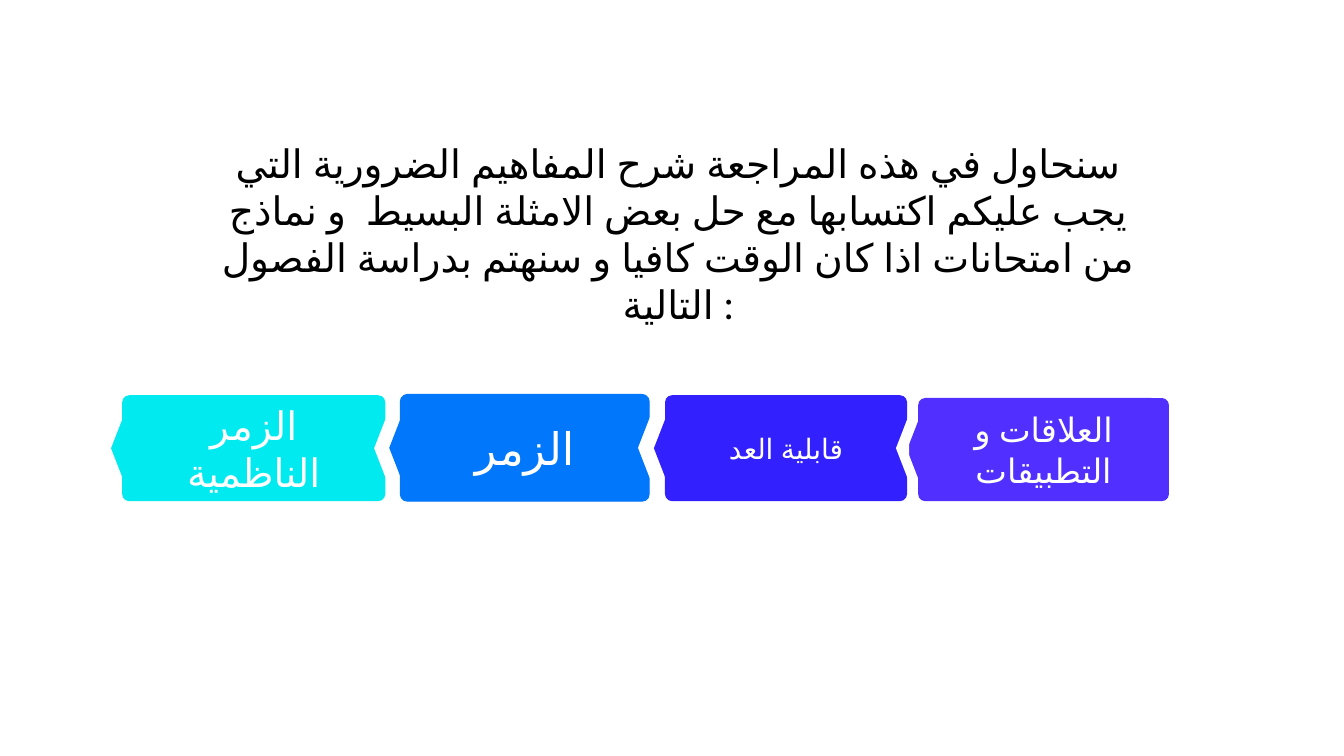
from lxml.etree import SubElement
from pptx import Presentation
from pptx.dml.color import RGBColor
from pptx.enum.lang import MSO_LANGUAGE_ID as Language
from pptx.enum.shapes import MSO_SHAPE as Shape
from pptx.enum.text import MSO_ANCHOR as Anchor, MSO_AUTO_SIZE as AutoSize, PP_ALIGN as Align
from pptx.oxml.ns import qn
from pptx.util import Cm, Pt

COLORS = {
    "black": "000000",
    "white": "FFFFFF",
    "violet": "5130FF",
    "indigo": "3220FF",
    "cyan": "00EAEF",
    "blue": "0177FB",
}
FONT = "Lato"


def write(frame, text, size, color):
    frame.word_wrap = True
    para = frame.paragraphs[0]
    para.alignment = Align.CENTER
    span = para.add_run()
    span.text = text
    span.font.size = Pt(size)
    span.font.name = FONT
    span.font.language_id = Language.ARABIC_ALGERIA
    span.font.color.rgb = RGBColor.from_string(COLORS[color])
    # Arabic letters take the complex-script font
    SubElement(span.font._element, qn("a:cs")).set("typeface", FONT)


def add_filled(kind, left, top, width, height, color):
    shape = page.shapes.add_shape(kind, Cm(left), Cm(top), Cm(width), Cm(height))
    shape.shadow.inherit = False
    shape.fill.solid()
    shape.fill.fore_color.rgb = RGBColor.from_string(COLORS[color])
    shape.line.fill.background()
    return shape


deck = Presentation()
deck.slide_width, deck.slide_height = Cm(33.87), Cm(19.05)
page = deck.slides.add_slide(deck.slide_layouts[6])

# Introduction
intro = page.shapes.add_textbox(Cm(5), Cm(3.38), Cm(24.18), Cm(5))
write(
    intro.text_frame,
    "سنحاول في هذه المراجعة شرح المفاهيم الضرورية التي يجب عليكم اكتسابها "
    "مع حل بعض الامثلة البسيط  و نماذج من امتحانات اذا كان الوقت كافيا "
    "و سنهتم بدراسة الفصول التالية :",
    28, "black",
)
intro.text_frame.auto_size = AutoSize.SHAPE_TO_FIT_TEXT

# Chapters: text, size, colour, left, top, width, notch on the right
chapters = [
    ("العلاقات و التطبيقات", 24, "violet", 23.14, 10.03, 6.32, False),
    ("قابلية العد", 20, "indigo", 16.76, 9.96, 6.1, True),
    ("الزمر الناظمية", 28, "cyan", 3.08, 9.96, 6.63, True),
    ("الزمر", 32, "blue", 10.09, 9.94, 6.27, True),
]
BOTTOM, RADIUS = 12.63, 0.18
POINT_SPAN, POINT_DEPTH, POINT_OVERHANG = 1.7, 0.33, 0.28

for text, size, color, left, top, width, notched in chapters:
    height = BOTTOM - top
    card = add_filled(Shape.ROUNDED_RECTANGLE, left, top, width, height, color)
    card.adjustments[0] = RADIUS / height
    if color == "blue":
        card.line.color.rgb = RGBColor.from_string(COLORS[color])
        card.line.width = Pt(0.75)
    frame = card.text_frame
    frame.margin_left = frame.margin_right = Cm(0.51)
    frame.margin_top = frame.margin_bottom = Cm(0.25)
    frame.vertical_anchor = Anchor.MIDDLE
    write(frame, text, size, "white")

    # Point on the left edge, notch on the right edge
    points = [(left, color)]
    if notched:
        points.append((left + width, "white"))
    for edge, point_color in points:
        center_x = edge - POINT_OVERHANG + POINT_DEPTH / 2
        center_y = top + height / 2
        point = add_filled(
            Shape.ISOSCELES_TRIANGLE,
            center_x - POINT_SPAN / 2, center_y - POINT_DEPTH / 2,
            POINT_SPAN, POINT_DEPTH, point_color,
        )
        point.rotation = 270

deck.save("out.pptx")
